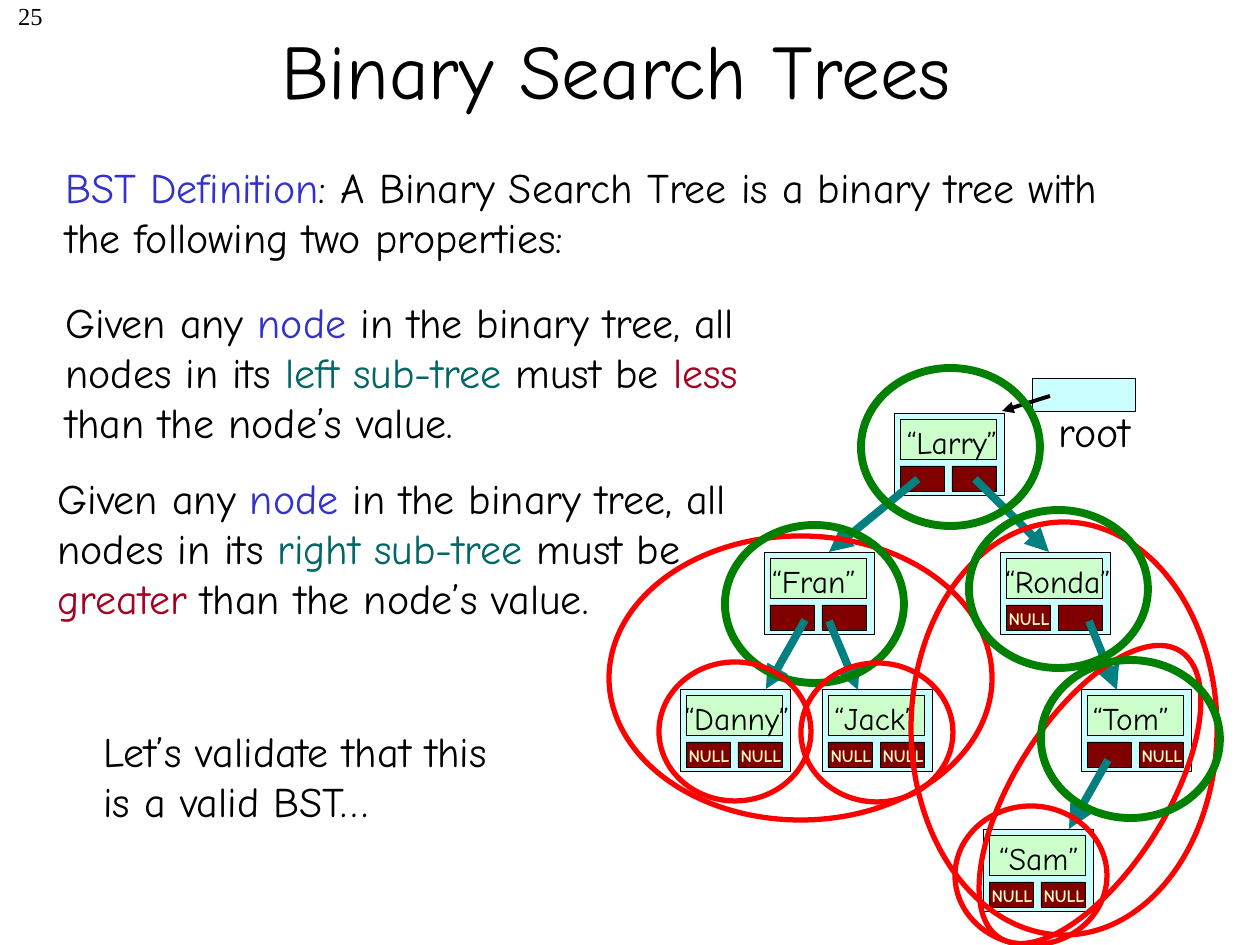
from lxml import etree
from pptx import Presentation
from pptx import util as u
from pptx.dml.color import RGBColor
from pptx.enum import shapes, text
from pptx.oxml.ns import qn

PIXEL = u.Inches(1) / 126
HAND = "Comic Neue"
COLORS = {
    "black": "000000", "blue": "3333CC", "teal": "006666", "crimson": "A50021",
    "cream": "FFFFCC", "node": "CCFFFF", "value": "CCFFCC", "pointer": "800000",
    "edge": "008080", "green": "008000", "red": "FF0000",
}
ALIGN = text.PP_ALIGN
NODE_WIDTH, NODE_HEIGHT = 110, 82
POINTER_OFFSETS = (6, 58)

NODES = [
    ("Larry", 894, 413, 58, ()),
    ("Fran", 764, 552, 50, ()),
    ("Ronda", 1000, 552, 58, (0,)),
    ("Danny", 680, 689, 57, (0, 1)),
    ("Jack", 822, 689, 53, (0, 1)),
    ("Tom", 1081, 689, 50, (1,)),
    ("Sam", 983, 829, 56, (0, 1)),
]
EDGES = [
    ((918, 479), (829, 552)),
    ((975, 479), (1049, 552)),
    ((805, 620), (766, 689)),
    ((829, 621), (858, 690)),
    ((1089, 621), (1117, 690)),
    ((1108, 760), (1069, 829)),
]
VISITED_SIZE = (179, 158)
LEAF_SIZE = (152, 139)
RINGS = [
    ("green", (861, 368), VISITED_SIZE, 0),
    ("red", (609, 536), (383, 284), 0),
    ("red", (911, 522), (306, 413), 0),
    ("green", (725, 525), VISITED_SIZE, 0),
    ("red", (659, 662), LEAF_SIZE, 0),
    ("red", (801, 663), LEAF_SIZE, 0),
    ("green", (969, 510), VISITED_SIZE, 0),
    ("red", (1014, 625), (152, 339), 32.2),
    ("green", (1041, 660), VISITED_SIZE, 0),
    ("red", (955, 806), LEAF_SIZE, 0),
]


def px(*values):
    return [round(value * PIXEL) for value in values]


def rgb(name):
    return RGBColor.from_string(COLORS[name])


def add_text(slide, content, left, top, width, height, size=24, color="black", font=HAND,
             bold=False, align=ALIGN.LEFT, middle=False, wrap=True):
    shape = slide.shapes.add_textbox(*px(left, top, width, height))
    frame = shape.text_frame
    frame.word_wrap = wrap
    frame.vertical_anchor = text.MSO_ANCHOR.MIDDLE if middle else text.MSO_ANCHOR.TOP
    paragraph = frame.paragraphs[0]
    paragraph.alignment = align
    parts = [(content, color)] if isinstance(content, str) else content
    for words, part_color in parts:
        for index, line in enumerate(words.split("\n")):
            if index:
                paragraph.add_line_break()
            run = paragraph.add_run()
            run.text = line
            run.font.name = font
            run.font.size = u.Pt(size)
            run.font.bold = bold
            run.font.color.rgb = rgb(part_color)


def add_box(slide, left, top, width, height, fill):
    shape = slide.shapes.add_shape(shapes.MSO_SHAPE.RECTANGLE, *px(left, top, width, height))
    shape.shadow.inherit = False
    shape.fill.solid()
    shape.fill.fore_color.rgb = rgb(fill)
    shape.line.color.rgb = rgb("black")
    shape.line.width = u.Pt(0.25)


def add_ring(slide, color, position, size, rotation):
    shape = slide.shapes.add_shape(shapes.MSO_SHAPE.OVAL, *px(*position, *size))
    shape.shadow.inherit = False
    shape.fill.background()
    shape.line.color.rgb = rgb(color)
    shape.line.width = u.Pt(4.5 if color == "green" else 3)
    shape.rotation = rotation


def add_arrow(slide, start, end, color="edge", width=4.5):
    arrow = slide.shapes.add_connector(shapes.MSO_CONNECTOR.STRAIGHT, *px(*start, *end))
    arrow.line.color.rgb = rgb(color)
    arrow.line.width = u.Pt(width)
    etree.SubElement(arrow.line._get_or_add_ln(), qn("a:tailEnd"), type="triangle")
    etree.SubElement(arrow._element.spPr, qn("a:effectLst"))


def add_node(slide, name, left, top, label_center, nulls):
    add_box(slide, left, top, NODE_WIDTH, NODE_HEIGHT, "node")
    add_box(slide, left + 6, top + 6, 96, 40, "value")
    for index, offset in enumerate(POINTER_OFFSETS):
        add_box(slide, left + offset, top + 53, 44, 25, "pointer")
        if index in nulls:
            add_text(slide, "NULL", left + offset - 13, top + 50, 72, 34, size=10,
                     color="cream", bold=True, align=ALIGN.CENTER, wrap=False)
    add_text(slide, f"\u201c{name}\u201d", left + label_center - 66, top + 4, 132, 50,
             size=18, align=ALIGN.CENTER, wrap=False)


def add_property(slide, side, relation, left, top):
    add_text(slide, [
        ("Given any ", "black"), ("node", "blue"),
        (" in the binary tree, all nodes in its ", "black"),
        (f"{side} sub-tree", "teal"), (" must be ", "black"),
        (relation, "crimson"), (" than the node\u2019s value.", "black"),
    ], left, top, 723, 164)


def main():
    presentation = Presentation()
    presentation.slide_width, presentation.slide_height = u.Inches(10), u.Inches(7.5)
    slide = presentation.slides.add_slide(presentation.slide_layouts[6])

    add_text(slide, "25", 0, -5, 55, 63, size=14, font="Times New Roman", align=ALIGN.RIGHT)
    add_text(slide, "Binary Search Trees", 81, -10, 1071, 158, size=44,
             align=ALIGN.CENTER, middle=True)
    add_text(slide, [
        ("BST Definition", "blue"),
        (": A Binary Search Tree is a binary tree with the following two properties:", "black"),
    ], 53, 155, 1106, 113)

    for node in NODES:
        add_node(slide, *node)
    for start, end in EDGES:
        add_arrow(slide, start, end)
    add_box(slide, 1032, 378, 103, 33, "node")
    add_text(slide, "root", 1046, 399, 110, 63, wrap=False)
    add_arrow(slide, (1050, 396), (1002, 411), color="black", width=2.25)

    add_property(slide, "left", "less", 53, 290)
    add_property(slide, "right", "greater", 45, 466)
    add_text(slide, "Let\u2019s validate that this\nis a valid BST\u2026", 91, 719, 471, 113)

    for ring in RINGS:
        add_ring(slide, *ring)
    presentation.save("out.pptx")


main()
